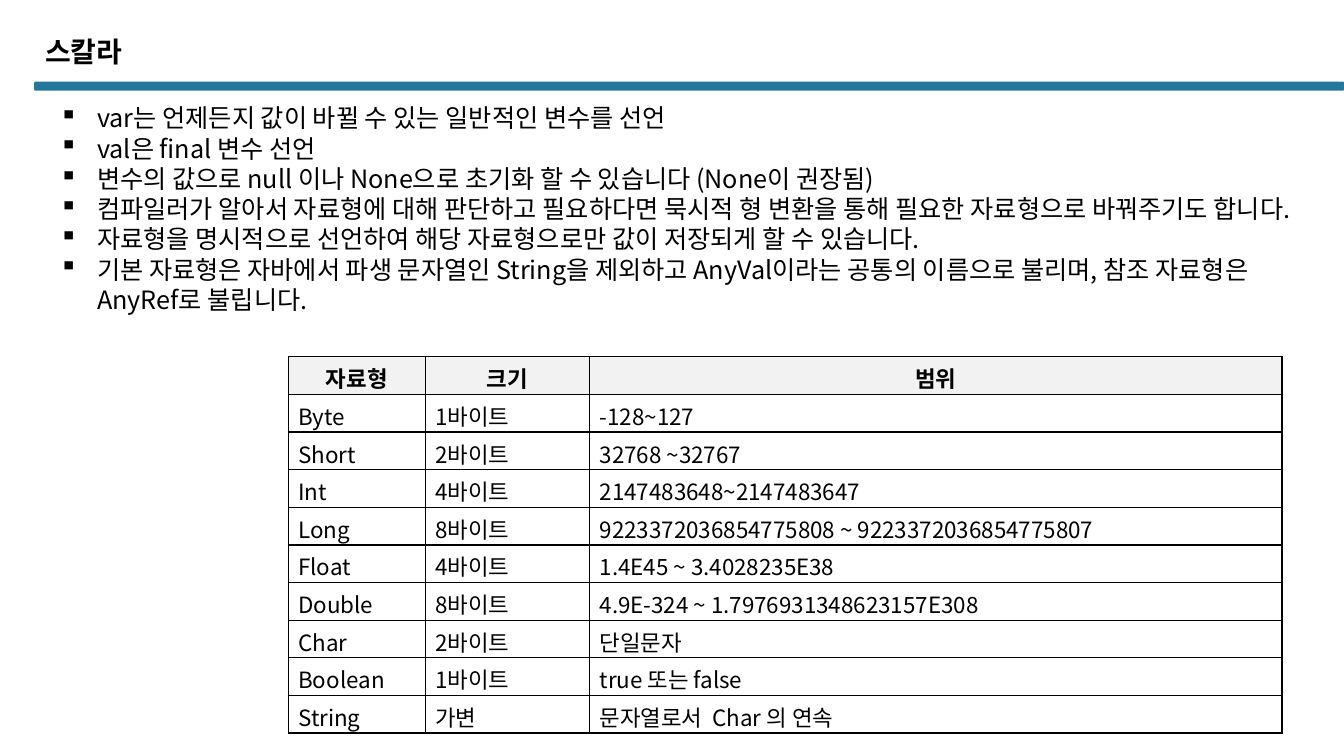
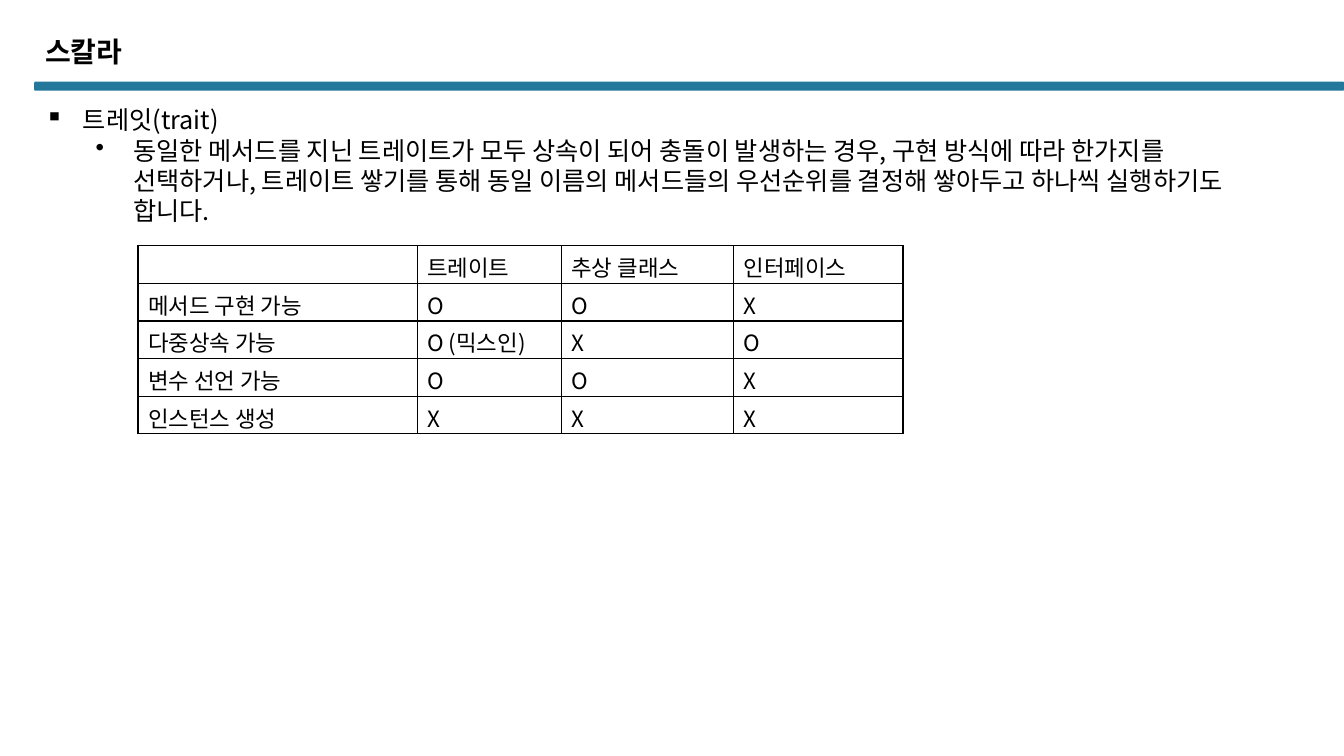
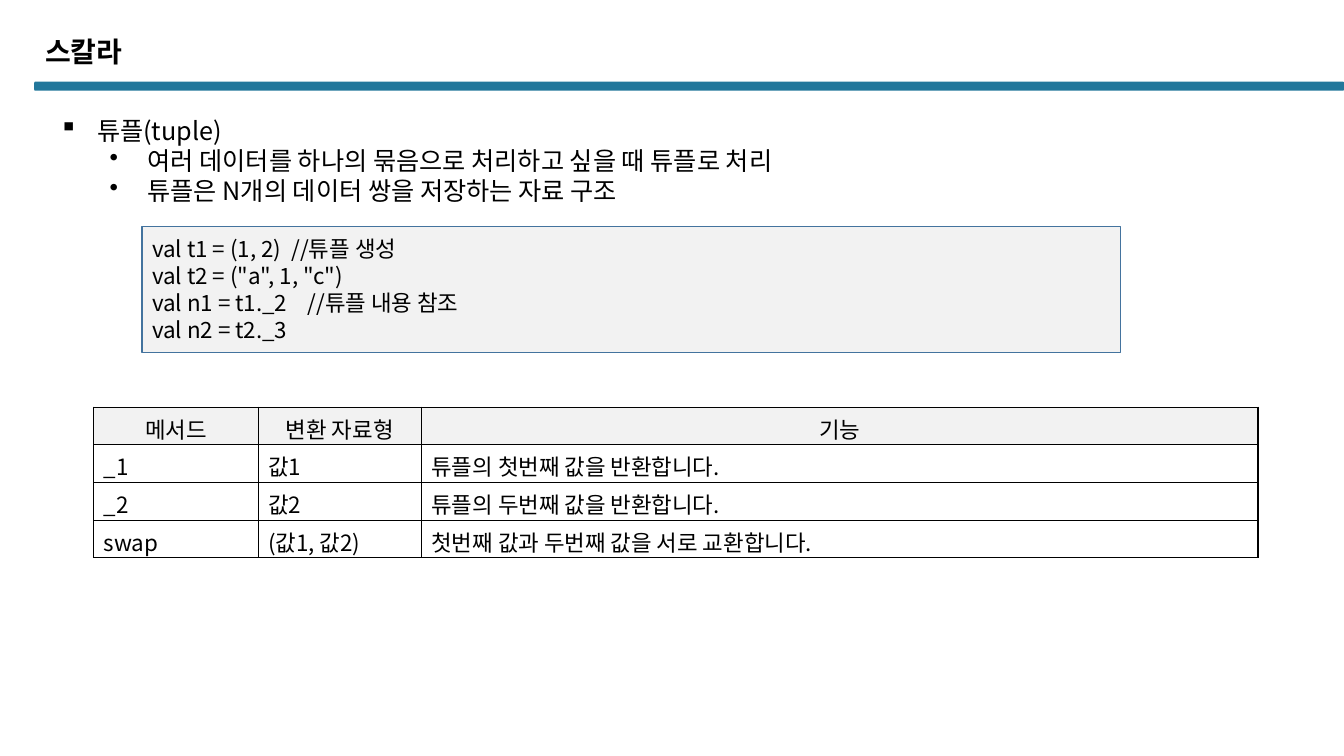
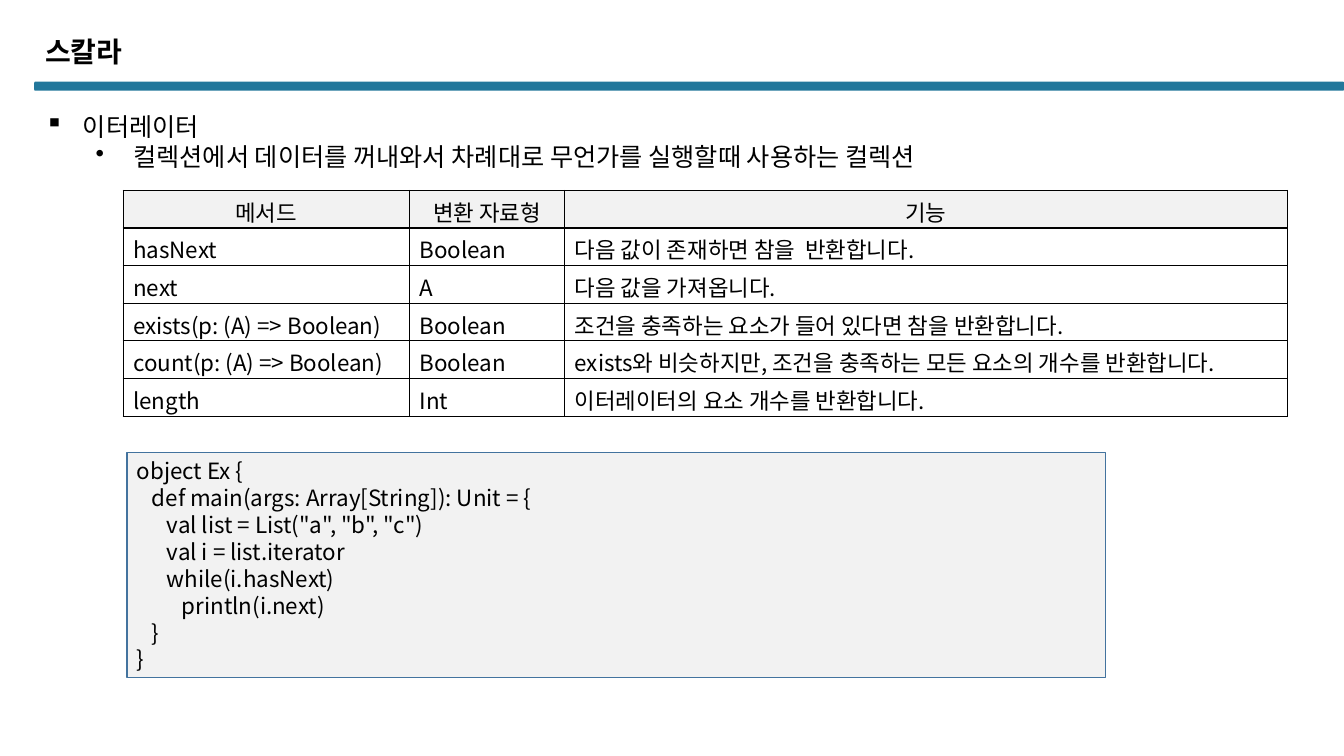
from dataclasses import dataclass
from typing import Optional

from lxml.etree import SubElement
from pptx import Presentation
from pptx.dml.color import RGBColor
from pptx.enum.shapes import MSO_SHAPE
from pptx.enum.text import MSO_ANCHOR, MSO_AUTO_SIZE, PP_ALIGN
from pptx.oxml.ns import qn
from pptx.util import Pt

BLACK = RGBColor(0x00, 0x00, 0x00)
TEAL = RGBColor(0x22, 0x77, 0x9B)
GRAY = RGBColor(0xF2, 0xF2, 0xF2)
BLUE = RGBColor(0x43, 0x73, 0x9E)

FONT = "Noto Sans CJK KR"
TITLE = "스칼라"
TITLE_SIZE, BODY_SIZE, SMALL_SIZE = 20, 18, 16
SLIDE_W, SLIDE_H = 960, 540
BODY_W = 895
ROW_H = 26.9
CODE_W = 699
HANG = 27
BULLETS = ("▪", "•")
INDENTS = (27, 63)


@dataclass(frozen=True)
class Bullet:
    text: str
    level: int = 0


@dataclass(frozen=True)
class Body:
    left: float
    top: float
    height: float
    bullets: tuple[Bullet, ...]


@dataclass(frozen=True)
class Grid:
    left: float
    top: float
    cols: tuple[float, ...]
    rows: tuple[tuple[str, ...], ...]
    header: bool = True
    bold_header: bool = False


@dataclass(frozen=True)
class Code:
    left: float
    top: float
    height: float
    lines: tuple[str, ...]


@dataclass(frozen=True)
class Page:
    body: Body
    grid: Grid
    code: Optional[Code] = None


def add_run(p, text: str, size: float, bold: bool = False) -> None:
    r = p.add_run()
    r.text = text
    r.font.size = Pt(size)
    r.font.bold = bold
    r.font.name = FONT
    r.font.color.rgb = BLACK
    SubElement(r._r.get_or_add_rPr(), qn("a:ea"), typeface=FONT)


def paragraph_at(tf, index: int):
    return tf.add_paragraph() if index else tf.paragraphs[0]


def add_frame(s) -> None:
    sp = s.shapes.add_shape(MSO_SHAPE.ROUNDED_RECTANGLE, Pt(24.5), Pt(58.3), Pt(SLIDE_W - 24.5), Pt(6.5))
    sp.adjustments[0] = 0.13
    sp.shadow.inherit = False
    sp.fill.solid()
    sp.fill.fore_color.rgb = TEAL
    sp.line.fill.background()
    tf = s.shapes.add_textbox(Pt(25.2), Pt(23.8), Pt(569), Pt(34)).text_frame
    tf.word_wrap = True
    p = tf.paragraphs[0]
    p.line_spacing = 0.9
    add_run(p, TITLE, TITLE_SIZE, True)


def add_body(s, body: Body) -> None:
    tf = s.shapes.add_textbox(Pt(body.left), Pt(body.top), Pt(BODY_W), Pt(body.height)).text_frame
    tf.word_wrap = True
    tf.auto_size = MSO_AUTO_SIZE.SHAPE_TO_FIT_TEXT
    for i, bullet in enumerate(body.bullets):
        p = paragraph_at(tf, i)
        p.level = bullet.level
        pPr = p._p.get_or_add_pPr()
        pPr.set("marL", str(Pt(INDENTS[bullet.level])))
        pPr.set("indent", str(Pt(-HANG)))
        SubElement(pPr, qn("a:buChar"), char=BULLETS[bullet.level])
        add_run(p, bullet.text, BODY_SIZE)


def add_borders(cell) -> None:
    tcPr = cell._tc.get_or_add_tcPr()
    for side in ("L", "R", "T", "B"):
        ln = SubElement(tcPr, qn(f"a:ln{side}"), w=str(Pt(1)))
        SubElement(SubElement(ln, qn("a:solidFill")), qn("a:srgbClr"), val=str(BLACK))


def add_grid(s, grid: Grid) -> None:
    table = s.shapes.add_table(
        len(grid.rows), len(grid.cols), Pt(grid.left), Pt(grid.top),
        Pt(sum(grid.cols)), Pt(ROW_H * len(grid.rows)),
    ).table
    table.first_row = False
    table.horz_banding = False
    for col, width in zip(table.columns, grid.cols):
        col.width = Pt(width)
    for i, row in enumerate(grid.rows):
        table.rows[i].height = Pt(ROW_H)
        is_header = grid.header and i == 0
        for j, text in enumerate(row):
            cell = table.cell(i, j)
            add_borders(cell)
            p = cell.text_frame.paragraphs[0]
            if is_header:
                cell.fill.solid()
                cell.fill.fore_color.rgb = GRAY
                p.alignment = PP_ALIGN.CENTER
            else:
                cell.fill.background()
            if text:
                add_run(p, text, SMALL_SIZE, is_header and grid.bold_header)
            else:
                SubElement(p._p, qn("a:endParaRPr"), sz=str(SMALL_SIZE * 100))


def add_code(s, code: Code) -> None:
    sp = s.shapes.add_shape(MSO_SHAPE.RECTANGLE, Pt(code.left), Pt(code.top), Pt(CODE_W), Pt(code.height))
    sp.shadow.inherit = False
    sp.fill.solid()
    sp.fill.fore_color.rgb = GRAY
    sp.line.color.rgb = BLUE
    sp.line.width = Pt(1)
    tf = sp.text_frame
    tf.word_wrap = True
    tf.vertical_anchor = MSO_ANCHOR.MIDDLE
    for i, line in enumerate(code.lines):
        p = paragraph_at(tf, i)
        p.alignment = PP_ALIGN.LEFT
        add_run(p, line, SMALL_SIZE)


METHOD_HEADER = ("메서드", "변환 자료형", "기능")

PAGES = (
    Page(
        Body(35.3, 69.8, 181.4, (
            Bullet("var는 언제든지 값이 바뀔 수 있는 일반적인 변수를 선언"),
            Bullet("val은 final 변수 선언"),
            Bullet("변수의 값으로 null 이나 None으로 초기화 할 수 있습니다 (None이 권장됨)"),
            Bullet("컴파일러가 알아서 자료형에 대해 판단하고 필요하다면 묵시적 형 변환을 통해 "
                   "필요한 자료형으로 바꿔주기도 합니다."),
            Bullet("자료형을 명시적으로 선언하여 해당 자료형으로만 값이 저장되게 할 수 있습니다."),
            Bullet("기본 자료형은 자바에서 파생 문자열인 String을 제외하고 AnyVal이라는 공통의 "
                   "이름으로 불리며, 참조 자료형은 AnyRef로 불립니다."),
        )),
        Grid(205.9, 254.9, (97.9, 117.4, 494.6), (
            ("자료형", "크기", "범위"),
            ("Byte", "1바이트", "-128~127"),
            ("Short", "2바이트", "32768 ~32767"),
            ("Int", "4바이트", "2147483648~2147483647"),
            ("Long", "8바이트", "9223372036854775808 ~ 9223372036854775807"),
            ("Float", "4바이트", "1.4E45 ~ 3.4028235E38"),
            ("Double", "8바이트", "4.9E-324 ~ 1.7976931348623157E308"),
            ("Char", "2바이트", "단일문자"),
            ("Boolean", "1바이트", "true 또는 false"),
            ("String", "가변", "문자열로서  Char 의 연속"),
        ), bold_header=True),
    ),
    Page(
        Body(25.2, 71.3, 116.6, (
            Bullet("트레잇(trait)"),
            Bullet("동일한 메서드를 지닌 트레이트가 모두 상속이 되어 충돌이 발생하는 경우, 구현 방식에 "
                   "따라 한가지를 선택하거나, 트레이트 쌓기를 통해 동일 이름의 메서드들의 우선순위를 "
                   "결정해 쌓아두고 하나씩 실행하기도 합니다.", 1),
        )),
        Grid(98.6, 175.5, (199.4, 103, 123.1, 121), (
            ("", "트레이트", "추상 클래스", "인터페이스"),
            ("메서드 구현 가능", "O", "O", "X"),
            ("다중상속 가능", "O (믹스인)", "X", "O"),
            ("변수 선언 가능", "O", "O", "X"),
            ("인스턴스 생성", "X", "X", "X"),
        ), header=False),
    ),
    Page(
        Body(35.3, 78.5, 94.3, (
            Bullet("튜플(tuple)"),
            Bullet("여러 데이터를 하나의 묶음으로 처리하고 싶을 때 튜플로 처리", 1),
            Bullet("튜플은 N개의 데이터 쌍을 저장하는 자료 구조", 1),
        )),
        Grid(67, 290.9, (117.4, 116.6, 597.6), (
            METHOD_HEADER,
            ("_1", "값1", "튜플의 첫번째 값을 반환합니다."),
            ("_2", "값2", "튜플의 두번째 값을 반환합니다."),
            ("swap", "(값1, 값2)", "첫번째 값과 두번째 값을 서로 교환합니다."),
        )),
        Code(101.5, 161.6, 90, (
            "val t1 = (1, 2)  //튜플 생성",
            'val t2 = ("a", 1, "c")',
            "val n1 = t1._2    //튜플 내용 참조",
            "val n2 = t2._3",
        )),
    ),
    Page(
        Body(25.2, 75.6, 94.3, (
            Bullet("이터레이터"),
            Bullet("컬렉션에서 데이터를 꺼내와서 차례대로 무언가를 실행할때 사용하는 컬렉션", 1),
        )),
        Grid(88, 136, (204.5, 110.9, 516.2), (
            METHOD_HEADER,
            ("hasNext", "Boolean", "다음 값이 존재하면 참을  반환합니다."),
            ("next", "A", "다음 값을 가져옵니다."),
            ("exists(p: (A) => Boolean)", "Boolean", "조건을 충족하는 요소가 들어 있다면 참을 반환합니다."),
            ("count(p: (A) => Boolean)", "Boolean",
             "exists와 비슷하지만, 조건을 충족하는 모든 요소의 개수를 반환합니다."),
            ("length", "Int", "이터레이터의 요소 개수를 반환합니다."),
        )),
        Code(90.7, 323.3, 160.6, (
            "object Ex {",
            "   def main(args: Array[String]): Unit = {",
            '      val list = List("a", "b", "c")',
            "      val i = list.iterator",
            "      while(i.hasNext)",
            "         println(i.next)",
            "   }",
            "}",
        )),
    ),
)


def main() -> None:
    prs = Presentation()
    prs.slide_width, prs.slide_height = Pt(SLIDE_W), Pt(SLIDE_H)
    for page in PAGES:
        s = prs.slides.add_slide(prs.slide_layouts[6])
        add_frame(s)
        add_body(s, page.body)
        if page.code:
            add_code(s, page.code)
        add_grid(s, page.grid)
    prs.save("out.pptx")


if __name__ == "__main__":
    main()
